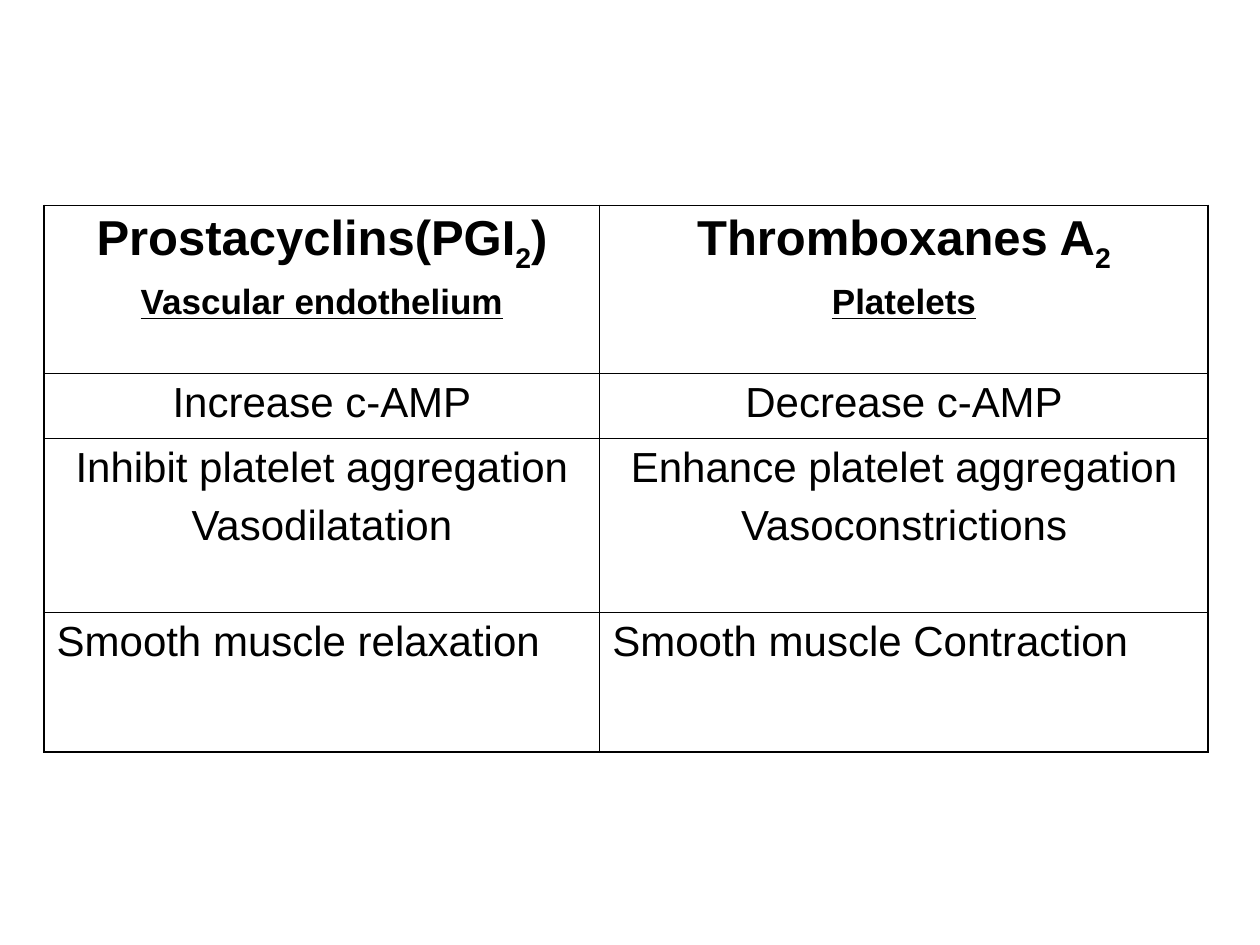
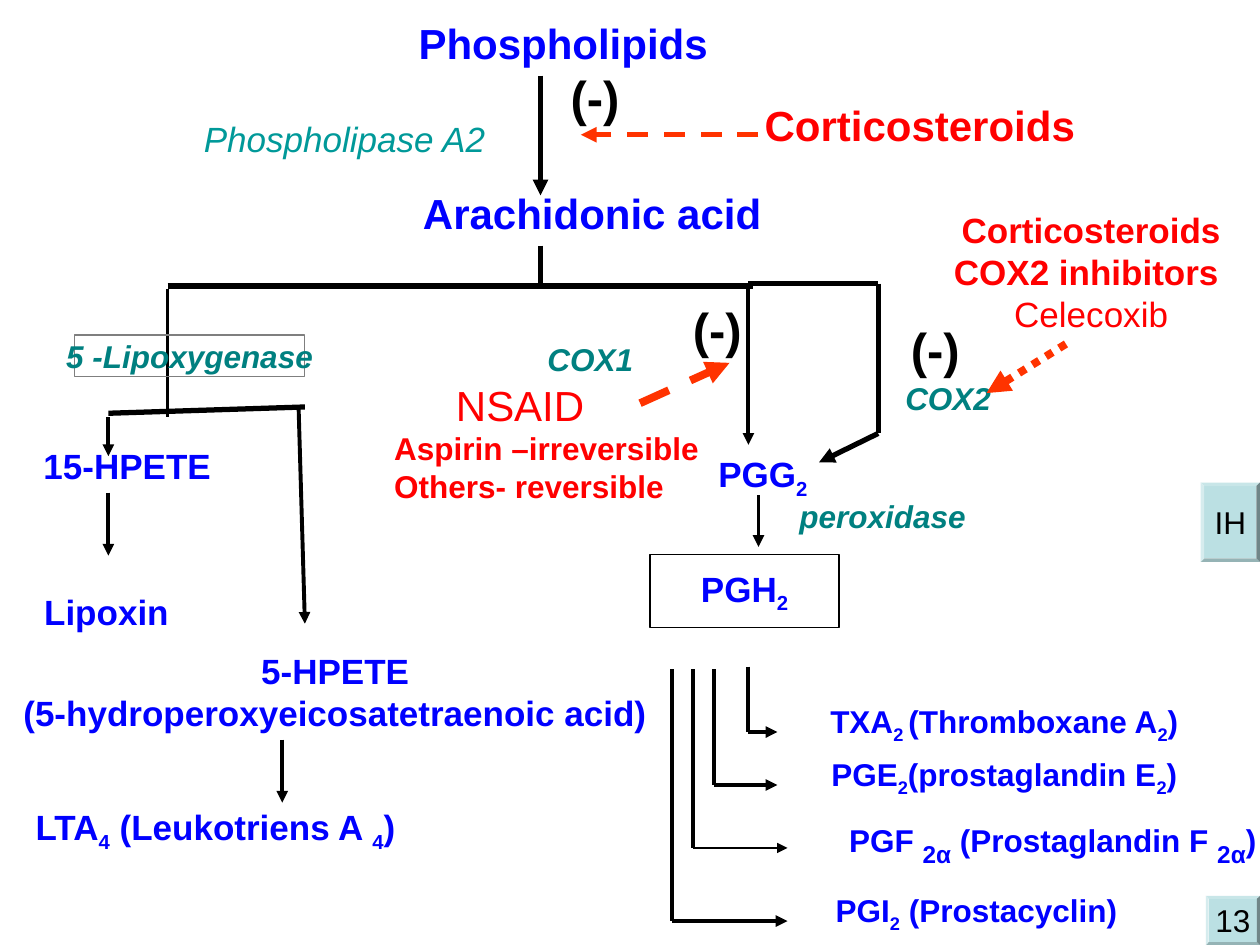
from lxml import etree
from pptx import Presentation
from pptx.dml.color import RGBColor
from pptx.enum import dml, shapes, text
from pptx.oxml import ns
from pptx.util import Inches, Pt

FONT = "Arial"
BLACK, BLUE, RED = "000000", "0000FF", "FF0000"
TEAL, LIGHT_TEAL, ORANGE = "008080", "009999", "FF3300"
GRAY, BUTTON = "7F7F7F", "BBE0E3"
OUTER_BORDER, INNER_BORDER = 1.08, 0.45
CENTER, LEFT = text.PP_ALIGN.CENTER, text.PP_ALIGN.LEFT


def color(hex_string):
    return RGBColor.from_string(hex_string)


def write_paragraph(paragraph, content, size, hue, bold=False, italic=False,
                    underline=False, align=CENTER, subscript_size=None):
    """Write content, in which ~ opens and closes a subscript."""
    for index, part in enumerate(content.split("~")):
        if not part:
            continue
        run = paragraph.add_run()
        run.text = part
        if index % 2:
            run._r.get_or_add_rPr().set("baseline", "-25000")
            if subscript_size:
                run.font.size = Pt(subscript_size)
    paragraph.alignment = align
    font = paragraph.font
    font.name, font.size = FONT, Pt(size)
    font.bold, font.italic, font.underline = bold, italic, underline
    font.color.rgb = color(hue)


def write_lines(shape, content, size, hue, align=CENTER, **style):
    frame = shape.text_frame
    frame.word_wrap = False
    frame.vertical_anchor = text.MSO_ANCHOR.MIDDLE
    if align == CENTER:
        frame.margin_left = frame.margin_right = 0
    for index, line in enumerate(content.split("\n")):
        paragraph = frame.add_paragraph() if index else frame.paragraphs[0]
        write_paragraph(paragraph, line, size, hue, align=align, **style)


def add_label(slide, box, content, size=20, hue=BLUE, bold=True, **style):
    label = slide.shapes.add_textbox(*map(Inches, box))
    write_lines(label, content, size, hue, bold=bold, **style)
    return label


def add_note(slide, box, content, size, hue, bold=True):
    """Add a left-aligned label whose box fits its text."""
    note = add_label(slide, box, content, size, hue, bold, align=LEFT)
    note.text_frame.vertical_anchor = text.MSO_ANCHOR.TOP
    note.text_frame.auto_size = text.MSO_AUTO_SIZE.SHAPE_TO_FIT_TEXT


def add_frame(slide, box, content, size, line_hue, hue, **style):
    """Add an unfilled, outlined rectangle with text."""
    frame = slide.shapes.add_shape(shapes.MSO_SHAPE.RECTANGLE, *map(Inches, box))
    frame.shadow.inherit = False
    frame.fill.background()
    frame.line.color.rgb = color(line_hue)
    frame.line.width = Pt(0.75)
    write_lines(frame, content, size, hue, bold=True, **style)


def add_button(slide, box, content):
    button = slide.shapes.add_shape(shapes.MSO_SHAPE.BEVEL, *map(Inches, box))
    button.adjustments[0] = 0.06
    button.shadow.inherit = False
    button.fill.solid()
    button.fill.fore_color.rgb = color(BUTTON)
    button.line.fill.background()
    write_lines(button, content, 18, BLACK)


def add_line(slide, start, end, width=2.25, hue=BLACK, dash=None, arrow=False):
    connector = slide.shapes.add_connector(
        shapes.MSO_CONNECTOR.STRAIGHT, *map(Inches, start + end))
    connector.line.color.rgb = color(hue)
    connector.line.width = Pt(width)
    if dash:
        connector.line.dash_style = dash
    if arrow:
        tail = etree.SubElement(connector.line._get_or_add_ln(), ns.qn("a:tailEnd"))
        tail.set("type", "triangle")
    etree.SubElement(connector._element.spPr, ns.qn("a:effectLst"))


def add_arrow(slide, start, end, **style):
    add_line(slide, start, end, arrow=True, **style)


def set_borders(cell, widths):
    """Draw black borders; widths are in the order left, right, top, bottom."""
    properties = cell._tc.get_or_add_tcPr()
    for index, (side, width) in enumerate(zip("LRTB", widths)):
        line = etree.Element(ns.qn(f"a:ln{side}"), w=str(int(Pt(width))))
        fill = etree.SubElement(line, ns.qn("a:solidFill"))
        etree.SubElement(fill, ns.qn("a:srgbClr"), val=BLACK)
        properties.insert(index, line)


def add_comparison_table(slide):
    rows = [
        ("Prostacyclins(PGI~2~)\nVascular endothelium", "Thromboxanes A~2~\nPlatelets"),
        ("Increase c-AMP", "Decrease c-AMP"),
        ("Inhibit platelet aggregation\nVasodilatation",
         "Enhance platelet aggregation\nVasoconstrictions"),
        ("Smooth muscle relaxation", "Smooth muscle Contraction"),
    ]
    heading_styles = [dict(size=28, bold=True),
                      dict(size=20, bold=True, underline=True)]
    last_row = len(rows) - 1
    table = slide.shapes.add_table(
        len(rows), 2, *map(Inches, (0.35, 1.63, 9.24, 4.34))).table
    table.first_row = table.horz_banding = False
    for column, width in zip(table.columns, (4.41, 4.83)):
        column.width = Inches(width)
    for row, height in zip(table.rows, (1.33, 0.52, 1.38, 1.11)):
        row.height = Inches(height)

    for r, row in enumerate(rows):
        for c, content in enumerate(row):
            cell = table.cell(r, c)
            cell.fill.background()
            on_edge = (c == 0, c == 1, r == 0, r == last_row)
            set_borders(cell, [OUTER_BORDER if edge else INNER_BORDER
                               for edge in on_edge])
            frame = cell.text_frame
            for index, line in enumerate(content.split("\n")):
                paragraph = frame.add_paragraph() if index else frame.paragraphs[0]
                style = heading_styles[index] if r == 0 else dict(size=24)
                write_paragraph(paragraph, line, hue=BLACK,
                                align=LEFT if r == last_row else CENTER, **style)
                if index:
                    paragraph.space_before = Pt(5 if r == 0 else 6)


def add_metabolites(slide):
    add_label(slide, (2.72, 0.05, 3.5, 0.58), "Phospholipids", 24)
    add_label(slide, (2.95, 1.4, 3.5, 0.58), "Arachidonic acid", 24)
    add_label(slide, (0.23, 3.46, 1.56, 0.47), "15-HPETE")
    add_label(slide, (-0.23, 4.69, 2.15, 0.33), "Lipoxin")
    add_label(slide, (0, 5.15, 5.32, 0.67),
              "5-HPETE\n(5-hydroperoxyeicosatetraenoic acid)")
    add_label(slide, (0, 6.33, 3.42, 0.51), "LTA~4~ (Leukotriens A ~4~)")
    add_label(slide, (5.47, 3.53, 1.17, 0.5), "PGG~2~")
    add_frame(slide, (5.16, 4.4, 1.5, 0.58), "PGH~2~", 20, BLACK, BLUE)
    add_label(slide, (6.26, 5.53, 3.42, 0.42), "TXA~2 ~(Thromboxane A~2~)", 18)
    add_label(slide, (6.26, 5.95, 3.42, 0.42), "PGE~2~(prostaglandin E~2~)", 18)
    add_label(slide, (6.71, 6.45, 3.29, 0.42),
              "PGF ~2α~ (Prostaglandin F ~2α~)", 18, subscript_size=24)
    add_label(slide, (6.25, 7.03, 3, 0.42), "PGI~2~ (Prostacyclin)", 18)


def add_enzymes(slide):
    add_label(slide, (0.9, 0.84, 3.67, 0.52), "Phospholipase A2", 20,
              LIGHT_TEAL, bold=False, italic=True)
    add_frame(slide, (0.59, 2.66, 1.83, 0.33), "5 -Lipoxygenase", 18,
              GRAY, TEAL, italic=True)
    for box, name in [((4.21, 2.65, 0.95, 0.39), "COX1"),
                      ((7.05, 2.96, 0.95, 0.39), "COX2"),
                      ((6.09, 3.93, 1.83, 0.33), "peroxidase")]:
        add_label(slide, box, name, 18, TEAL, italic=True)


def add_pathway_lines(slide):
    # Phospholipids to arachidonic acid and its branches
    add_arrow(slide, (4.29, 0.6), (4.29, 1.55), width=3)
    add_line(slide, (4.29, 1.95), (4.29, 2.27), width=3)
    add_line(slide, (1.33, 2.27), (5.98, 2.27), width=3)
    add_line(slide, (1.33, 2.29), (1.33, 3.31), width=2)
    add_arrow(slide, (5.94, 2.27), (5.94, 3.53))
    add_line(slide, (5.94, 2.25), (6.97, 2.25), width=3)
    add_line(slide, (6.97, 2.25), (6.97, 3.44), width=3)
    add_arrow(slide, (6.97, 3.44), (6.5, 3.67), width=3)
    add_arrow(slide, (6.02, 3.93), (6.02, 4.34))

    # Lipoxygenase branch
    add_line(slide, (0.86, 3.28), (2.42, 3.23), width=3)
    add_arrow(slide, (0.86, 3.31), (0.86, 3.62))
    add_arrow(slide, (0.86, 3.91), (0.86, 4.41))
    add_arrow(slide, (2.37, 3.23), (2.42, 4.95))
    add_arrow(slide, (2.24, 5.87), (2.24, 6.37))

    # From PGH2 down and across to each product
    for x, top, bottom, right, width in [(5.94, 5.29, 5.81, 6.17, 2.25),
                                         (5.67, 5.31, 6.23, 6.17, 2.25),
                                         (5.5, 5.31, 6.73, 6.25, 0.75),
                                         (5.33, 5.31, 7.31, 6.25, 2.25)]:
        add_line(slide, (x, top), (x, bottom))
        add_arrow(slide, (x, bottom), (right, bottom), width=width)


def add_inhibitors(slide):
    add_label(slide, (5.55, 0.7, 3.5, 0.58), "Corticosteroids", 24, RED)
    cox2_drugs = add_label(slide, (7.32, 1.47, 2.68, 1.37),
                           "Corticosteroids\nCOX2 inhibitors \nCelecoxib", 20, RED)
    cox2_drugs.text_frame.paragraphs[2].font.bold = False
    add_note(slide, (3.52, 2.96, 1.22, 0.5), "NSAID", 24, RED, bold=False)
    add_note(slide, (3.03, 3.36, 2.62, 0.7),
             "Aspirin –irreversible\nOthers- reversible", 18, RED)
    for left, top in [(4.43, 0.49), (7.13, 2.49), (5.4, 2.33)]:
        add_note(slide, (left, top, 0.59, 0.57), "(-)", 28, BLACK)

    dashed, dotted = dml.MSO_LINE.DASH, dml.MSO_LINE.ROUND_DOT
    for start, end, width, dash in [((6.02, 1.07), (4.61, 1.07), 3, dashed),
                                    ((8.46, 2.73), (7.83, 3.12), 4.5, dotted),
                                    ((5.08, 3.2), (5.79, 2.88), 4.5, dashed)]:
        add_arrow(slide, start, end, width=width, hue=ORANGE, dash=dash)


def main():
    presentation = Presentation()
    presentation.slide_width, presentation.slide_height = Inches(10), Inches(7.5)
    blank = presentation.slide_layouts[6]

    add_comparison_table(presentation.slides.add_slide(blank))

    pathway = presentation.slides.add_slide(blank)
    add_metabolites(pathway)
    add_pathway_lines(pathway)
    add_enzymes(pathway)
    add_inhibitors(pathway)
    add_button(pathway, (9.57, 7.11, 0.43, 0.39), "13")
    add_button(pathway, (9.53, 3.83, 0.47, 0.63), "IH")

    presentation.save("out.pptx")


if __name__ == "__main__":
    main()
